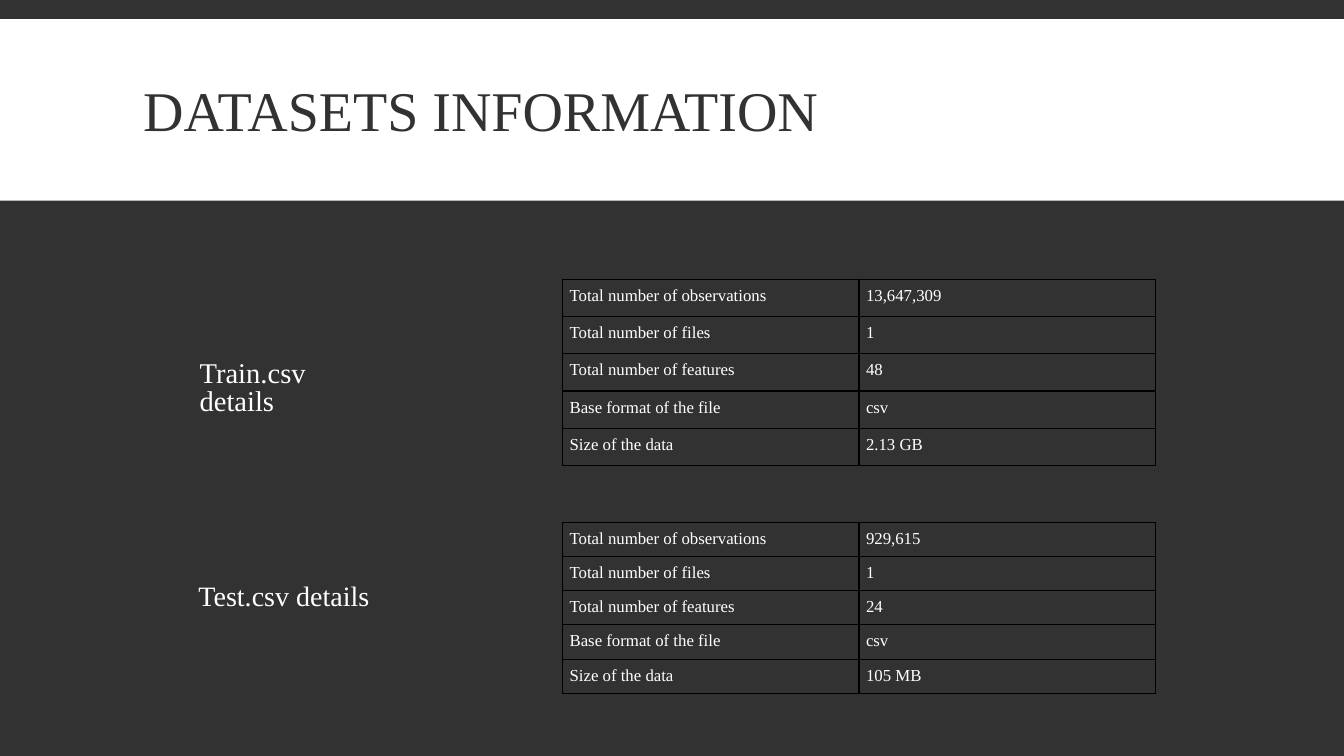
from lxml.etree import SubElement
from pptx import Presentation
from pptx.dml.color import RGBColor
from pptx.enum.shapes import MSO_SHAPE
from pptx.enum.text import MSO_ANCHOR, MSO_AUTO_SIZE, PP_ALIGN
from pptx.oxml.ns import qn
from pptx.util import Inches, Pt

CHARCOAL = RGBColor(0x32, 0x32, 0x32)
WHITE = RGBColor(0xFF, 0xFF, 0xFF)
BLACK = RGBColor(0x00, 0x00, 0x00)
FONT = "Times New Roman"

SLIDE_SIZE = (13.33, 7.5)
BAND_BOX = (0, 0.19, 13.33, 1.8)
TITLE_BOX = (1.32, 0.31, 10.7, 1.65)
TRAIN_LABEL_BOX = (1.88, 3.54, 2.05, 0.4)
TEST_LABEL_BOX = (1.87, 5.69, 1.98, 0.44)
TRAIN_TABLE_BOX = (5.58, 2.77, 5.88, 1.85)
TEST_TABLE_BOX = (5.58, 5.18, 5.88, 1.69)

TITLE_FORMAT = {"alignment": PP_ALIGN.LEFT, "line_spacing": 0.85}
TRAIN_FORMAT = {"line_spacing": 0.8, "space_before": Pt(12), "space_after": Pt(2)}
CELL_MARGINS = {f"margin_{side}": Inches(0.07)
                for side in ("left", "right", "top", "bottom")}

MEASURES = ("Total number of observations", "Total number of files",
            "Total number of features", "Base format of the file",
            "Size of the data")
TRAIN_VALUES = ("13,647,309", "1", "48", "csv", "2.13 GB")
TEST_VALUES = ("929,615", "1", "24", "csv", "105 MB")


def apply(target, values):
    """Set each attribute of the target from a dict of values."""
    for name, value in values.items():
        setattr(target, name, value)


def place(part, box):
    """Move a part to a box given in inches."""
    apply(part, dict(zip(("left", "top", "width", "height"), map(Inches, box))))


def write(frame, wording, size, color=WHITE, paragraph_format=None):
    """Fill a text frame with one formatted paragraph."""
    frame.word_wrap = True
    paragraph = frame.paragraphs[0]
    apply(paragraph, paragraph_format or {})
    run = paragraph.add_run()
    run.text = wording
    apply(run.font, {"name": FONT, "size": Pt(size), "bold": False})
    run.font.color.rgb = color


def add_header(slide, band_box, title_box):
    """Draw the white band with the title over it."""
    band = slide.shapes.add_shape(MSO_SHAPE.RECTANGLE, *map(Inches, band_box))
    band.shadow.inherit = False
    band.fill.solid()
    band.fill.fore_color.rgb = WHITE
    band.line.fill.background()
    title = slide.shapes.title
    title._element.addprevious(band._element)
    place(title, title_box)
    apply(title.text_frame, {"vertical_anchor": MSO_ANCHOR.MIDDLE,
                             "auto_size": MSO_AUTO_SIZE.NONE})
    write(title.text_frame, "DATASETS INFORMATION", 40, CHARCOAL, TITLE_FORMAT)


def add_train_label(slide, box):
    """Set the body placeholder as the unbulleted train label."""
    label = slide.placeholders[1]
    place(label, box)
    label.text_frame.auto_size = MSO_AUTO_SIZE.NONE
    write(label.text_frame, "Train.csv details", 20.4, paragraph_format=TRAIN_FORMAT)
    properties = label.text_frame.paragraphs[0]._p.get_or_add_pPr()
    properties.set("marL", "0")
    properties.set("indent", "0")
    SubElement(properties, qn("a:buNone"))


def add_test_label(slide, box):
    """Add the test label as a text box."""
    label = slide.shapes.add_textbox(*map(Inches, box))
    write(label.text_frame, "Test.csv details", 20)
    label.text_frame.auto_size = MSO_AUTO_SIZE.SHAPE_TO_FIT_TEXT


def add_borders(cell):
    """Draw a thin black line on all sides of a cell."""
    for side in ("a:lnL", "a:lnR", "a:lnT", "a:lnB"):
        border = SubElement(cell._tc.get_or_add_tcPr(), qn(side), w=str(Pt(1)))
        fill = SubElement(border, qn("a:solidFill"))
        SubElement(fill, qn("a:srgbClr"), val=str(BLACK))


def add_details(slide, box, values):
    """Add a table of measures and values with equal rows and columns."""
    rows = list(zip(MEASURES, values))
    table = slide.shapes.add_table(len(rows), 2, *map(Inches, box)).table
    apply(table, {"first_row": False, "horz_banding": False})
    for row_index, row in enumerate(rows):
        for column_index, wording in enumerate(row):
            cell = table.cell(row_index, column_index)
            apply(cell, CELL_MARGINS)
            add_borders(cell)
            cell.fill.background()
            write(cell.text_frame, wording, 12)


def main():
    """Build the datasets slide and save it."""
    deck = Presentation()
    deck.slide_width, deck.slide_height = map(Inches, SLIDE_SIZE)
    slide = deck.slides.add_slide(deck.slide_layouts[1])
    slide.background.fill.solid()
    slide.background.fill.fore_color.rgb = CHARCOAL
    add_header(slide, BAND_BOX, TITLE_BOX)
    add_train_label(slide, TRAIN_LABEL_BOX)
    add_details(slide, TRAIN_TABLE_BOX, TRAIN_VALUES)
    add_test_label(slide, TEST_LABEL_BOX)
    add_details(slide, TEST_TABLE_BOX, TEST_VALUES)
    deck.save("out.pptx")


if __name__ == "__main__":
    main()
